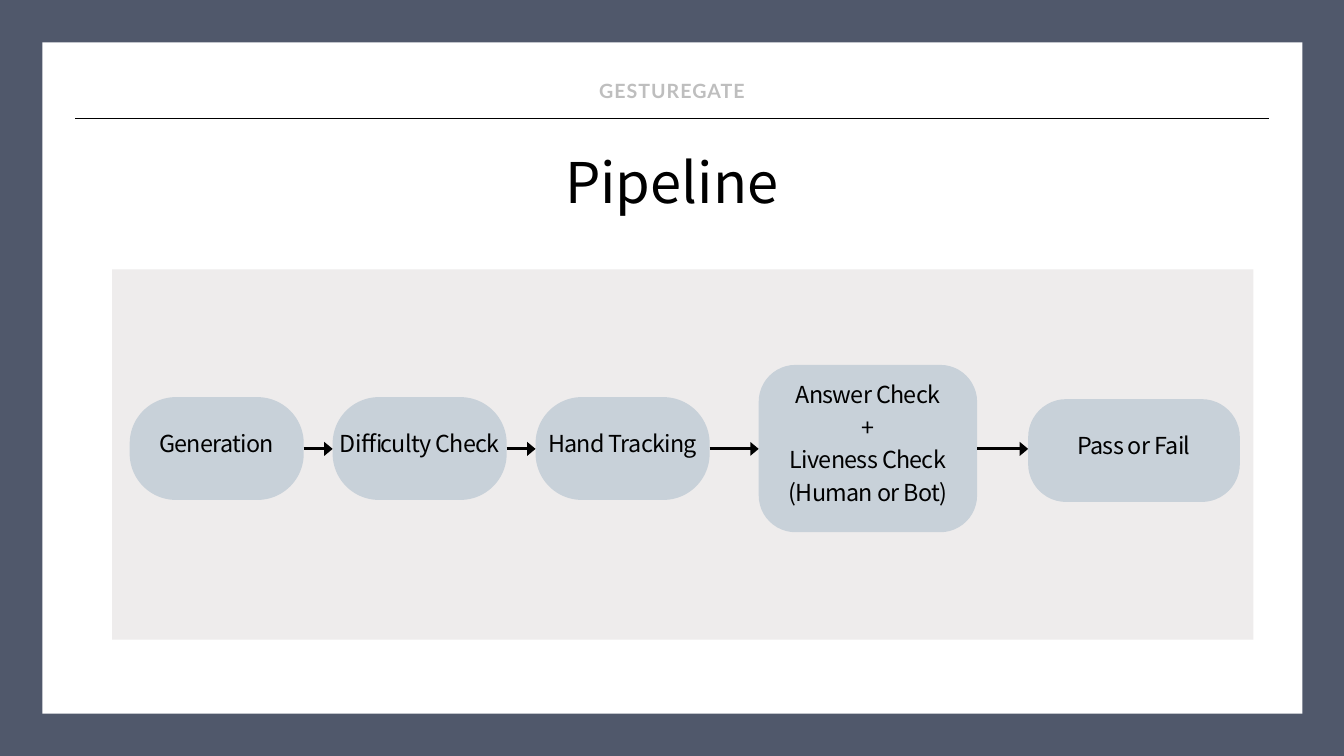
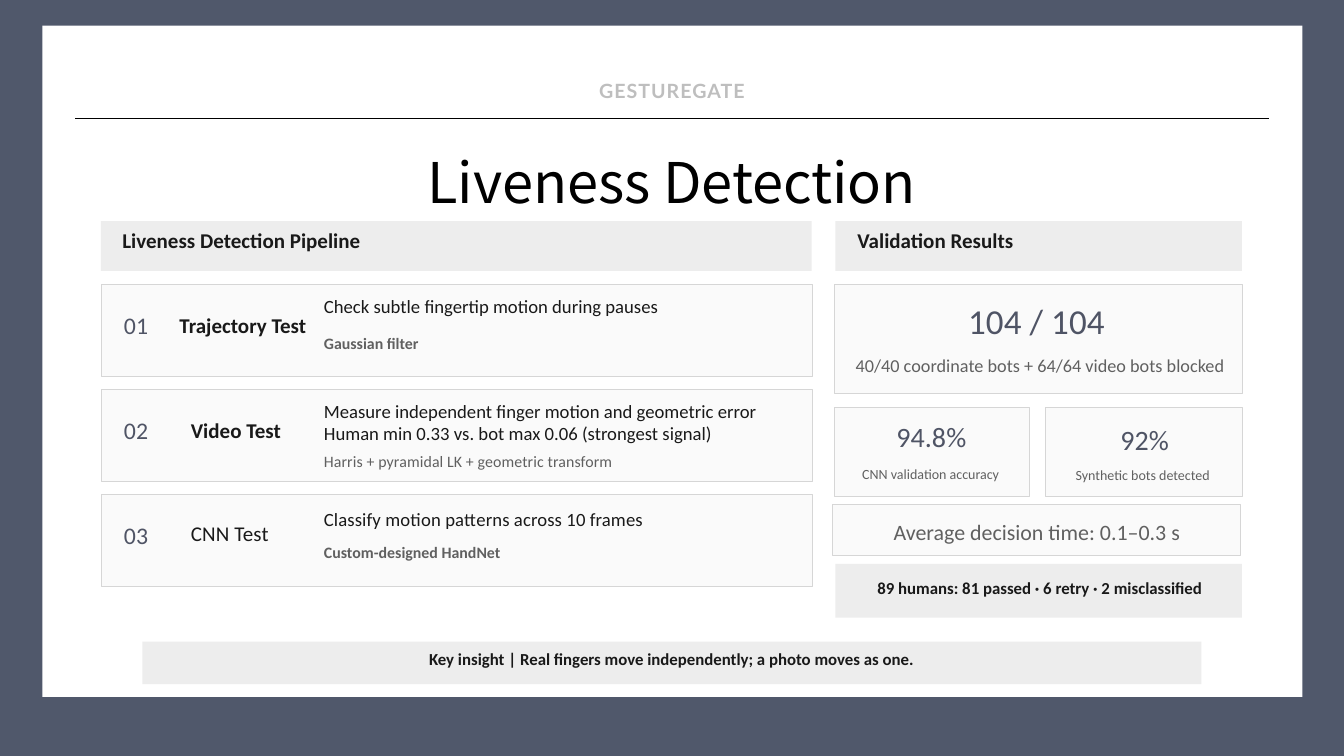
from dataclasses import dataclass
from itertools import pairwise

from lxml.etree import SubElement
from pptx import Presentation
from pptx.dml.color import RGBColor
from pptx.enum.shapes import MSO_CONNECTOR, MSO_SHAPE
from pptx.enum.text import MSO_ANCHOR, MSO_AUTO_SIZE, PP_ALIGN
from pptx.oxml.ns import qn
from pptx.util import Inches, Pt


@dataclass(frozen=True)
class TextStyle:
    font: str
    size: float
    leading: float
    color: str
    bold: bool = False
    tracking: float = 0


class Theme:
    frame, sheet, rule = "50586B", "FFFFFF", "000000"
    flow, step = "EEECEC", "C8D1D9"
    bar, card, border = "EDEDED", "FAFAFA", "D6D6D6"

    title = TextStyle("Noto Sans CJK KR", 60, 69, "000000")
    step_name = TextStyle("Noto Sans CJK KR", 25, 35, "000000", tracking=-0.7)
    running_head = TextStyle("Lato", 21, 25.2, "BEBEBE", True, 1.1)
    heading = TextStyle("Calibri", 22.5, 27, "191919", True)
    heading_light = TextStyle("Calibri", 22.5, 27, "191919", tracking=0.1)
    number = TextStyle("Calibri", 25.5, 30.6, "4F5465", tracking=0.1)
    body = TextStyle("Calibri", 20, 24, "191919")
    body_spaced = TextStyle("Calibri", 20, 24, "191919", tracking=0.1)
    method = TextStyle("Calibri", 17, 20.4, "606060", True)
    method_light = TextStyle("Calibri", 17, 20.4, "606060", tracking=0.1)
    score = TextStyle("Calibri", 37.5, 45, "4F5465", tracking=0.1)
    score_note = TextStyle("Calibri", 19.5, 23.4, "606060")
    rate = TextStyle("Calibri", 30, 36, "4F5465", tracking=0.1)
    rate_note = TextStyle("Calibri", 15, 18, "606060")
    timing = TextStyle("Calibri", 23.5, 28.2, "606060")
    summary = TextStyle("Calibri", 18, 21.6, "191919", True)


def add_panel(slide, box, fill, border=None, kind=MSO_SHAPE.RECTANGLE):
    panel = slide.shapes.add_shape(kind, *map(Inches, box))
    panel.shadow.inherit = False
    panel.fill.solid()
    panel.fill.fore_color.rgb = RGBColor.from_string(fill)
    if border:
        panel.line.color.rgb = RGBColor.from_string(border)
        panel.line.width = Pt(1.13)
    else:
        panel.line.fill.background()
    return panel


def write(shape, text, style, align=PP_ALIGN.CENTER, margins=(0, 0, 0, 0),
          anchor=MSO_ANCHOR.TOP, wrap=True):
    frame = shape.text_frame
    frame.text = text
    frame.word_wrap = wrap
    frame.auto_size = MSO_AUTO_SIZE.NONE
    frame.vertical_anchor = anchor
    (frame.margin_left, frame.margin_top,
     frame.margin_right, frame.margin_bottom) = map(Inches, margins)
    for paragraph in frame.paragraphs:
        paragraph.alignment = align
        paragraph.line_spacing = Pt(style.leading)
        for run in paragraph.runs:
            run.font.name = style.font
            run.font.size = Pt(style.size)
            run.font.bold = style.bold
            run.font.color.rgb = RGBColor.from_string(style.color)
            if style.tracking:
                run._r.get_or_add_rPr().set("spc", str(round(style.tracking * 100)))


prs = Presentation()
prs.slide_width, prs.slide_height = Inches(20), Inches(11.25)
page = prs.slide_master.background.fill
page.solid()
page.fore_color.rgb = RGBColor.from_string(Theme.frame)

# Shared sheet, running head, rule and title
slides = []
rules = []
for title_text, sheet_top in (("Pipeline", 0.63), ("Liveness Detection", 0.38)):
    slide = prs.slides.add_slide(prs.slide_layouts[5])
    add_panel(slide, (0.63, sheet_top, 18.75, 9.99), Theme.sheet)
    rule = slide.shapes.add_connector(
        MSO_CONNECTOR.STRAIGHT, Inches(1.12), Inches(1.76), Inches(18.88), Inches(1.76))
    rule.line.width = Pt(1.5)
    rules.append(rule)
    title = slide.shapes.title
    title.left, title.top, title.width, title.height = map(
        Inches, (2.58, 2.24, 14.83, 0.99))
    title.element.getparent().append(title.element)  # bring above the sheet
    write(title, title_text, Theme.title)
    running_head = slide.shapes.add_textbox(*map(Inches, (6.03, 1.17, 7.94, 0.34)))
    write(running_head, "GESTUREGATE", Theme.running_head)
    slides.append(slide)
pipeline, liveness = slides

# Pipeline: steps as left, top, width, height, corner ratio
add_panel(pipeline, (1.67, 4.01, 16.98, 5.51), Theme.flow)
steps = [
    ("Generation", (1.93, 5.91, 2.59, 1.53), 0.45),
    ("Difficulty Check", (4.95, 5.91, 2.59, 1.53), 0.45),
    ("Hand Tracking", (7.97, 5.91, 2.59, 1.53), 0.45),
    ("Answer Check\n+\nLiveness Check\n(Human or Bot)", (11.29, 5.43, 3.25, 2.49), 0.22),
    ("Pass or Fail", (15.3, 5.94, 3.15, 1.53), 0.37),
]
for name, box, corner in steps:
    step = add_panel(pipeline, box, Theme.step, kind=MSO_SHAPE.ROUNDED_RECTANGLE)
    step.adjustments[0] = corner
    write(step, name, Theme.step_name, margins=(0.06, 0.06, 0.06, 0.29),
          anchor=MSO_ANCHOR.MIDDLE, wrap=False)

# Arrows across the gaps between steps
arrows = []
for (_, before, _), (_, after, _) in pairwise(steps):
    arrow = pipeline.shapes.add_connector(
        MSO_CONNECTOR.STRAIGHT, Inches(before[0] + before[2]), Inches(6.68),
        Inches(after[0]), Inches(6.68))
    arrow.line.width = Pt(3)
    arrows.append(arrow)
for connector in rules + arrows:
    connector.line.color.rgb = RGBColor.from_string(Theme.rule)
    if connector in arrows:
        SubElement(connector.line._get_or_add_ln(), qn("a:tailEnd"),
                   type="triangle", w="lg", len="med")
    SubElement(connector._element.spPr, qn("a:effectLst"))

# Liveness Detection: column headings
for heading, left, width, indent in (
    ("Liveness Detection Pipeline", 1.5, 10.58, 0.32),
    ("Validation Results", 12.43, 6.05, 0.33),
):
    bar = add_panel(liveness, (left, 3.29, width, 0.74), Theme.bar)
    write(bar, heading, Theme.heading, PP_ALIGN.LEFT, (indent, 0.1, 0, 0))

# Test cards: name, its style, left and drop; detail, style, drop; method, style, drop
tests = [
    ("Trajectory Test", Theme.heading, 2.67, 0.41,
     "Check subtle fingertip motion during pauses", Theme.body, 0.15,
     "Gaussian filter", Theme.method, 0.72),
    ("Video Test", Theme.heading, 2.84, 0.41,
     "Measure independent finger motion and geometric error\n"
     "Human min 0.33 vs. bot max 0.06 (strongest signal)", Theme.body, 0.15,
     "Harris + pyramidal LK + geometric transform", Theme.method_light, 0.92),
    ("CNN Test", Theme.heading_light, 2.84, 0.39,
     "Classify motion patterns across 10 frames", Theme.body_spaced, 0.2,
     "Custom-designed HandNet", Theme.method, 0.72),
]
for index, (name, name_style, name_left, name_drop, detail, detail_style, detail_drop,
            method, method_style, method_drop) in enumerate(tests):
    top = 4.24 + 1.56 * index
    add_panel(liveness, (1.51, top, 10.58, 1.37), Theme.card, Theme.border)
    for text, style, align, box in (
        (f"{index + 1:02}", Theme.number, PP_ALIGN.CENTER, (1.71, top + 0.39, 0.63, 0.53)),
        (name, name_style, PP_ALIGN.LEFT, (name_left, top + name_drop, 2.24, 0.44)),
        (detail, detail_style, PP_ALIGN.LEFT, (4.82, top + detail_drop, 6.77, 0.7)),
        (method, method_style, PP_ALIGN.LEFT, (4.82, top + method_drop, 6.77, 0.6)),
    ):
        write(liveness.shapes.add_textbox(*map(Inches, box)), text, style, align)

# Result cards: card, then figure and note with their boxes
results = [
    ((12.42, 4.24, 6.07, 1.62),
     "104 / 104", Theme.score, (12.79, 4.45, 5.27, 0.64),
     "40/40 coordinate bots + 64/64 video bots blocked", Theme.score_note,
     (12.71, 5.27, 5.54, 0.7)),
    ((12.42, 6.06, 2.9, 1.33),
     "94.8%", Theme.rate, (12.62, 6.24, 2.48, 0.7),
     "CNN validation accuracy", Theme.rate_note, (12.58, 6.93, 2.54, 0.5)),
    ((15.56, 6.06, 2.93, 1.33),
     "92%", Theme.rate, (15.78, 6.29, 2.51, 0.7),
     "Synthetic bots detected", Theme.rate_note, (15.72, 6.94, 2.57, 0.54)),
]
for card, figure, figure_style, figure_box, note, note_style, note_box in results:
    add_panel(liveness, card, Theme.card, Theme.border)
    write(liveness.shapes.add_textbox(*map(Inches, figure_box)), figure, figure_style)
    write(liveness.shapes.add_textbox(*map(Inches, note_box)), note, note_style)

# Timing, human results and key insight
for text, style, box, fill, border, margins in (
    ("Average decision time: 0.1–0.3 s", Theme.timing,
     (12.39, 7.51, 6.07, 0.76), Theme.card, Theme.border, (0.48, 0.21, 0.47, 0)),
    ("89 humans: 81 passed · 6 retry · 2 misclassified", Theme.summary,
     (12.43, 8.39, 6.05, 0.8), Theme.bar, None, (0.21, 0.21, 0.17, 0)),
    ("Key insight | Real fingers move independently; a photo moves as one.", Theme.summary,
     (2.12, 9.55, 15.76, 0.63), Theme.bar, None, (0.4, 0.11, 0.41, 0)),
):
    write(add_panel(liveness, box, fill, border), text, style, margins=margins)

prs.save("out.pptx")
